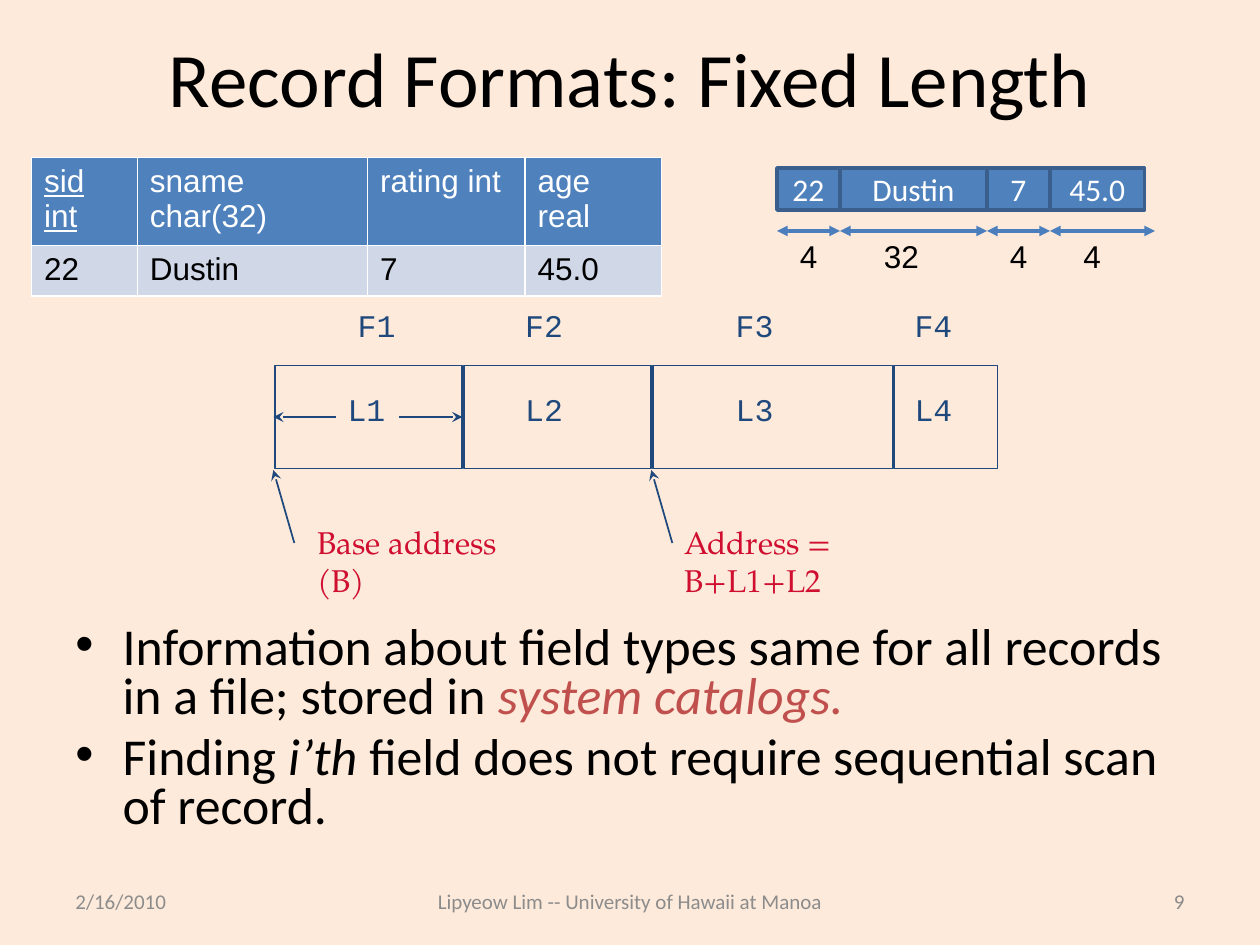
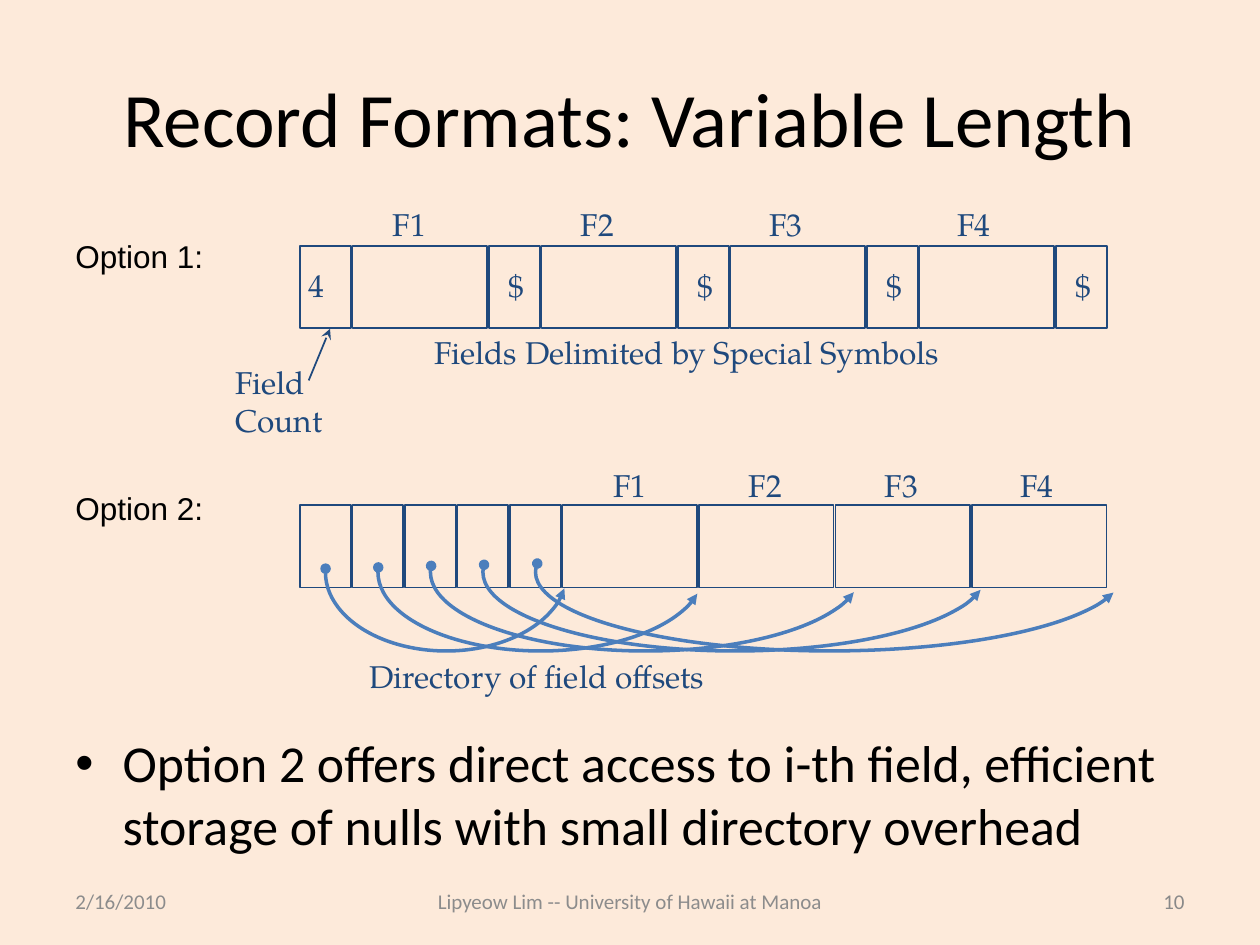
from dataclasses import dataclass
from itertools import accumulate

from lxml.etree import SubElement
from pptx import Presentation
from pptx.dml.color import RGBColor
from pptx.enum.shapes import MSO_CONNECTOR as CONN, MSO_SHAPE as SHAPE
from pptx.enum.text import MSO_ANCHOR as ANCHOR, PP_ALIGN as ALIGN
from pptx.oxml import parse_xml
from pptx.oxml.ns import nsdecls, qn
from pptx.util import Pt


@dataclass(frozen=True)
class Theme:
    # Colours
    paper: str = "FDEADA"
    black: str = "000000"
    white: str = "FFFFFF"
    navy: str = "1F497D"
    blue: str = "4F81BD"
    blue_edge: str = "3A5F8C"
    blue_line: str = "4B7EBC"
    pale_blue: str = "D0D8E8"
    crimson: str = "CF0E30"
    brick: str = "C0504D"
    grey: str = "8C8C8C"
    page_grey: str = "898989"
    # Fonts
    main: str = "Calibri"
    sans: str = "Arial"
    mono: str = "Courier New"
    serif: str = "TeX Gyre Pagella"
    # Type sizes
    title: float = 44
    body: float = 29.6
    label: float = 18
    footer: float = 12


T = Theme()
DATE = "2/16/2010"
FOOTER = "Lipyeow Lim -- University of Hawaii at Manoa"


def rgb(value):
    return RGBColor.from_string(value)


def starts(left, widths, gap=0):
    """Left edge of each cell in a row, plus the edge after the last."""
    return list(accumulate((w + gap for w in widths), initial=left))


class Deck:
    def __init__(self):
        self.prs = Presentation()
        self.prs.slide_width, self.prs.slide_height = Pt(720), Pt(540)
        self.s = None

    def new_slide(self, title, title_height, number):
        self.s = self.prs.slides.add_slide(self.prs.slide_layouts[6])
        fill = self.s.background.fill
        fill.solid()
        fill.fore_color.rgb = rgb(T.paper)
        self.text(36, 21.6, 648, title_height, title, T.main, T.black,
                  T.title, ALIGN.CENTER, ANCHOR.MIDDLE)
        footers = [(36, 168, DATE, T.grey, ALIGN.LEFT),
                   (216, 288, FOOTER, T.grey, ALIGN.CENTER),
                   (516, 168, str(number), T.page_grey, ALIGN.RIGHT)]
        for left, width, words, color, align in footers:
            self.text(left, 500.4, width, 28.8, words, T.main, color,
                      T.footer, align, ANCHOR.MIDDLE)

    def run(self, p, words, font, color, size=T.label):
        r = p.add_run()
        r.text = words
        r.font.name, r.font.size = font, Pt(size)
        r.font.color.rgb = rgb(color)
        return r

    def box(self, left, top, width, height):
        tf = self.s.shapes.add_textbox(
            Pt(left), Pt(top), Pt(width), Pt(height)).text_frame
        tf.word_wrap = True
        return tf

    def text(self, left, top, width, height, words, font, color,
             size=T.label, align=ALIGN.LEFT, anchor=ANCHOR.TOP):
        tf = self.box(left, top, width, height)
        tf.vertical_anchor = anchor
        for i, line in enumerate(words.split("\n")):
            p = tf.add_paragraph() if i else tf.paragraphs[0]
            p.alignment = align
            self.run(p, line, font, color, size)

    def tabbed(self, left, top, width, words, step):
        """One line of labels standing at equal tab stops."""
        p = self.box(left, top, width, 28.8).paragraphs[0]
        tabs = SubElement(p._p.get_or_add_pPr(), qn("a:tabLst"))
        for i in range(1, len(words)):
            SubElement(tabs, qn("a:tab"), pos=str(Pt(i * step)), algn="l")
        self.run(p, "\t".join(words), T.serif, T.navy)

    def bullets(self, top, height, items, spacing=1.0):
        """Each item is a list of (words, colour, italic)."""
        tf = self.box(36, top, 648, height)
        tf.margin_top = Pt(9.6)
        for i, item in enumerate(items):
            p = tf.add_paragraph() if i else tf.paragraphs[0]
            pPr = p._p.get_or_add_pPr()
            pPr.set("marL", str(Pt(27)))
            pPr.set("indent", str(Pt(-27)))
            SubElement(pPr, qn("a:buFont"), typeface=T.sans)
            SubElement(pPr, qn("a:buChar"), char="•")
            p.line_spacing = spacing
            if i:
                p.space_before = Pt(6)
            for words, color, italic in item:
                self.run(p, words, T.main, color, T.body).font.italic = italic

    def rect(self, left, top, width, height, line, weight, fill=None, words=""):
        sp = self.s.shapes.add_shape(
            SHAPE.RECTANGLE, Pt(left), Pt(top), Pt(width), Pt(height))
        sp.shadow.inherit = False
        sp.line.color.rgb, sp.line.width = rgb(line), Pt(weight)
        if fill:
            sp.fill.solid()
            sp.fill.fore_color.rgb = rgb(fill)
        else:
            sp.fill.background()
        if words:
            tf = sp.text_frame
            tf.vertical_anchor = ANCHOR.MIDDLE
            tf.paragraphs[0].alignment = ALIGN.CENTER
            self.run(tf.paragraphs[0], words, T.main, T.white)

    def record(self, left, top, height, widths):
        """A row of outlined fields, one point apart."""
        for x, width in zip(starts(left, widths, 1), widths):
            self.rect(x, top, width, height, T.navy, 1)

    def ends(self, sp, color, weight, head, tail):
        sp.line.color.rgb, sp.line.width = rgb(color), Pt(weight)
        ln = sp.line._get_or_add_ln()
        for tag, kind in (("a:headEnd", head), ("a:tailEnd", tail)):
            if kind:
                SubElement(ln, qn(tag), type=kind)

    def arrow(self, x1, y1, x2, y2, color=T.navy, weight=1,
              head=None, tail="stealth"):
        sp = self.s.shapes.add_connector(
            CONN.STRAIGHT, Pt(x1), Pt(y1), Pt(x2), Pt(y2))
        self.ends(sp, color, weight, head, tail)
        SubElement(sp.element.spPr, qn("a:effectLst"))

    def arc(self, left, top, width, height, start, end):
        """An arc hanging below its centre; angles in degrees."""
        sp = self.s.shapes.add_shape(
            SHAPE.ARC, Pt(left), Pt(top), Pt(width), Pt(height))
        sp.shadow.inherit = False
        sp.fill.background()
        # Adjustments count 60000ths of a degree in units of 100000
        sp.adjustments[0], sp.adjustments[1] = start * 0.6, end * 0.6
        sp.element.spPr.xfrm.set("flipV", "1")
        self.ends(sp, T.blue_line, 2, "oval", "triangle")

    def table(self, left, top, widths, row_height, rows):
        tbl = self.s.shapes.add_table(
            len(rows), len(widths), Pt(left), Pt(top),
            Pt(sum(widths)), Pt(row_height * len(rows))).table
        for col, width in zip(tbl.columns, widths):
            col.width = Pt(width)
        for i, row in enumerate(rows):
            tbl.rows[i].height = Pt(row_height)
            for j, words in enumerate(row):
                cell = tbl.cell(i, j)
                cell.fill.solid()
                cell.fill.fore_color.rgb = rgb(T.pale_blue if i else T.blue)
                r = self.run(cell.text_frame.paragraphs[0], words, T.sans,
                             T.black if i else T.white)
                r.font.bold = False
                r.font.underline = i == 0 and j == 0
                self.borders(cell)

    def borders(self, cell):
        tcPr = cell._tc.get_or_add_tcPr()
        for k, side in enumerate("LRTB"):
            tcPr.insert(k, parse_xml(
                f'<a:ln{side} {nsdecls("a")} w="{Pt(1)}"><a:solidFill>'
                f'<a:srgbClr val="{T.white}"/></a:solidFill></a:ln{side}>'))


def fixed_length(d):
    d.new_slide("Record Formats: Fixed Length", 44.6, 9)
    d.bullets(347.8, 134.6, [
        [("Information about field types same for all records in a file; "
          "stored in ", T.black, False),
         ("system catalogs.", T.brick, True)],
        [("Finding ", T.black, False), ("i’th ", T.black, True),
         ("field does not require sequential scan of record.",
          T.black, False)],
    ], 0.8)

    # Schema and one row
    d.table(18, 90, [60.5, 131.5, 90, 78], 28.8, [
        ["sid int", "sname char(32)", "rating int", "age real"],
        ["22", "Dustin", "7", "45.0"]])

    # Record layout with field lengths
    d.record(157, 208.8, 59, [107, 107, 137, 59])
    for i, x in enumerate([191.5, 293, 413.3, 515.5], 1):
        d.text(x, 219.6, 43, 36, f"L{i}", T.mono, T.navy)
        d.text(197.3 if i == 1 else x, 171.4, 43, 36, f"F{i}", T.mono, T.navy)
    d.arrow(192.2, 238.3, 156.2, 238.3)
    d.arrow(228.2, 238.3, 264.2, 238.3)

    # Addresses
    for tip, left, width, words in [
            (156.2, 174.2, 144.7, "Base address (B)"),
            (372.2, 383.8, 160, "Address = B+L1+L2")]:
        d.arrow(tip + 12, 310.3, tip, 268.6)
        d.text(left, 295.2, width, 28.8, words, T.serif, T.crimson)

    # Stored bytes
    widths = [36, 84, 36, 54]
    edges = starts(444, widths)
    spans = zip(edges, widths, edges[1:4] + [660], ["22", "Dustin", "7", "45.0"],
                [450, 498, 570, 612], ["4", "32", "4", "4"])
    for x, width, span_end, value, size_x, size in spans:
        d.rect(x, 96, width, 24, T.blue_edge, 2, T.blue, value)
        d.arrow(x, 132, span_end, 132, T.blue_line, 2, "triangle", "triangle")
        d.text(size_x, 132, 36, 28.8, size, T.sans, T.black)


def variable_length(d):
    d.new_slide("Record Formats: Variable Length", 90, 10)
    d.bullets(408.2, 90, [
        [("Option 2 offers direct access to i-th field, efficient storage "
          "of nulls with small directory overhead", T.black, False)]])
    fields = ["F1", "F2", "F3", "F4"]
    left, height, small, wide = 171.4, 47, 29, 77

    # Option 1: delimited fields
    d.text(36, 132, 90, 28.8, "Option 1:", T.sans, T.black)
    d.tabbed(217.4, 113.8, 355.7, fields, 107.5)
    d.record(left, 140.4, height, [small, wide] * 4 + [small])
    d.text(169.2, 148.3, 26, 36, "4", T.serif, T.navy)
    for i in range(4):
        d.text(283.7 + 108 * i, 148.3, 26, 36, "$", T.serif, T.navy)
    d.arrow(176.4, 217.4, 188.6, 187.9)
    d.text(127.4, 203.8, 68, 50.4, "Field\nCount", T.serif, T.navy)
    d.text(241.2, 186.5, 400, 36, "Fields Delimited by Special Symbols",
           T.serif, T.navy)

    # Option 2: directory of offsets
    d.text(36, 276, 90, 28.8, "Option 2:", T.sans, T.black)
    d.tabbed(343.4, 262.8, 265.7, fields, 77.5)
    d.record(left, 288.7, height, [small] * 5 + [wide] * 4)
    offsets = [(138, 352.2), (186, 352.2), (246, 354.5), (288, 355.9),
               (336, 355.9)]
    for i, (width, end) in enumerate(offsets):
        d.arc(186 + 30 * i, 282, width, 90, 178.3, end)
    d.text(203.8, 372.2, 215, 28.8, "Directory of field offsets",
           T.serif, T.navy)


def main():
    d = Deck()
    fixed_length(d)
    variable_length(d)
    d.prs.save("out.pptx")


if __name__ == "__main__":
    main()
